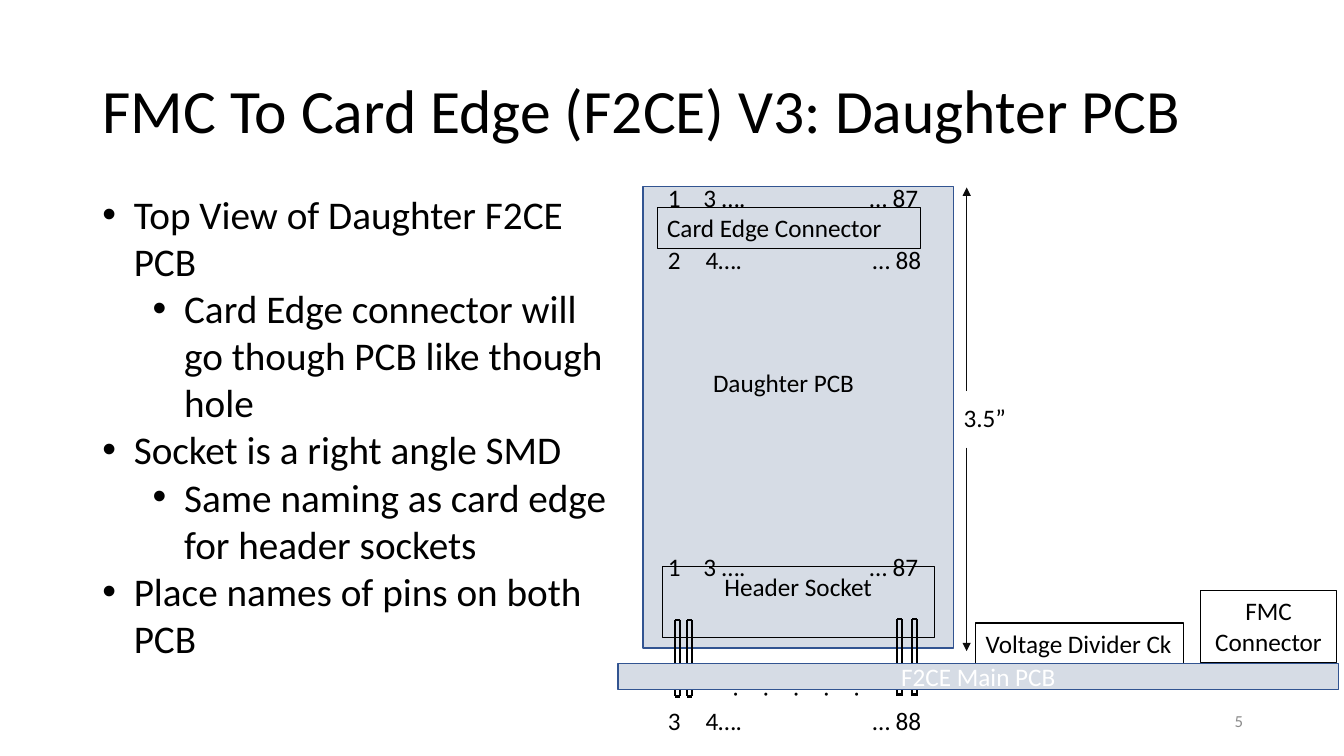
from dataclasses import dataclass, field
from typing import Any, Optional

from lxml.etree import SubElement
from pptx import Presentation
from pptx.dml.color import RGBColor
from pptx.enum.shapes import MSO_CONNECTOR, MSO_SHAPE
from pptx.enum.text import MSO_ANCHOR, MSO_AUTO_SIZE, PP_ALIGN
from pptx.oxml.ns import qn
from pptx.shapes.autoshape import Shape
from pptx.slide import Slide
from pptx.text.text import TextFrame
from pptx.util import Pt


@dataclass(frozen=True)
class Theme:
    font: str = "Calibri"
    black: RGBColor = RGBColor(0, 0, 0)
    white: RGBColor = RGBColor(255, 255, 255)
    grey: RGBColor = RGBColor(0x8C, 0x8C, 0x8C)
    arrow: RGBColor = RGBColor(0x0D, 0x0D, 0x0D)
    board: RGBColor = RGBColor(0xD6, 0xDC, 0xE5)
    board_edge: RGBColor = RGBColor(0x32, 0x54, 0x91)
    title_size: float = 44
    body_size: float = 28
    label_size: float = 18
    number_size: float = 12


THEME = Theme()
FRAME_INSET = {"margin_left": Pt(7.2), "margin_right": Pt(7.2),
               "margin_top": Pt(3.6), "margin_bottom": Pt(3.6)}
NO_INSET = {name: Pt(0) for name in FRAME_INSET}
LINE_HEIGHT = 21.97
PIN_WIDTH = 3.6
ROW_TOP = 130.3


@dataclass(frozen=True)
class Box:
    left: float
    top: float
    width: float
    height: float
    text: str = ""
    alignment: PP_ALIGN = PP_ALIGN.CENTER
    anchor: MSO_ANCHOR = MSO_ANCHOR.TOP
    fill: Optional[RGBColor] = None
    edge: RGBColor = THEME.black
    edge_width: float = 0.75
    color: RGBColor = THEME.black


@dataclass(frozen=True)
class Label:
    left: float
    top: float
    width: float
    lines: tuple[str, ...]
    height: float = LINE_HEIGHT
    frame: dict[str, Any] = field(default_factory=lambda: NO_INSET)
    size: float = THEME.label_size
    color: RGBColor = THEME.black
    alignment: PP_ALIGN = PP_ALIGN.LEFT
    rotation: float = 0


@dataclass(frozen=True)
class Pin:
    left: float
    top: float
    bottom: float
    cap: float


@dataclass(frozen=True)
class PinRow:
    line: int
    first: str
    second: str
    last: str
    second_left: float
    last_left: float


BOARD = {"fill": THEME.board, "edge": THEME.board_edge, "edge_width": 1}
DAUGHTER_BOARD = Box(459.4, 133.2, 221.8, 329.8, **BOARD)
MAIN_BOARD = Box(441.4, 473.8, 514.8, 18.7, "F2CE Main PCB",
                 anchor=MSO_ANCHOR.MIDDLE, color=THEME.white, **BOARD)
PARTS = (
    Box(857.5, 421.9, 97.2, 51.1, "FMC Connector"),
    Box(469.4, 148.3, 187.9, 29, "Card Edge Connector", PP_ALIGN.LEFT),
    Box(697, 445, 148.3, 29, "Voltage Divider Ck", PP_ALIGN.LEFT),
    Box(473, 404.6, 194.4, 51.1, "Header Socket"),
)
PINS = (
    Pin(482.4, 442.8, 497.5, 497.5),
    Pin(491, 442.8, 497.5, 497.5),
    Pin(640.8, 442.1, 497.5, 496.1),
    Pin(651.6, 442.1, 497.5, 496.1),
)
PIN_ROWS = (
    PinRow(0, "1", "3 ….", "… 87", 502.4, 655.9),
    PinRow(2, "2", "4….", "… 88", 504, 658),
    PinRow(12, "1", "3 ….", "… 87", 502.4, 655.9),
    PinRow(17, "3", "4….", "… 88", 504, 658),
)
BULLETS = (
    (0, "Top View of Daughter F2CE PCB"),
    (1, "Card Edge connector will go though PCB like though hole"),
    (0, "Socket is a right angle SMD"),
    (1, "Same naming as card edge for header sockets"),
    (0, "Place names of pins on both PCB"),
)


def apply_format(target: Any, values: dict[str, Any]) -> None:
    for name, value in values.items():
        setattr(target, name, value)


def write_lines(text_frame: TextFrame, lines: tuple[str, ...], size: float,
                color: RGBColor, alignment: PP_ALIGN) -> None:
    text_frame.text = "\n".join(lines)
    for paragraph in text_frame.paragraphs:
        paragraph.alignment = alignment
        for run in paragraph.runs:
            apply_format(run.font, {"name": THEME.font, "size": Pt(size)})
            run.font.color.rgb = color


def add_box(slide: Slide, box: Box) -> None:
    shape = slide.shapes.add_shape(MSO_SHAPE.RECTANGLE, Pt(box.left), Pt(box.top),
                                   Pt(box.width), Pt(box.height))
    shape.shadow.inherit = False
    if box.fill is None:
        shape.fill.background()
    else:
        shape.fill.solid()
        shape.fill.fore_color.rgb = box.fill
    shape.line.color.rgb = box.edge
    shape.line.width = Pt(box.edge_width)
    if box.text:
        apply_format(shape.text_frame, FRAME_INSET | {"word_wrap": True,
                                                      "vertical_anchor": box.anchor})
        write_lines(shape.text_frame, (box.text,), THEME.label_size, box.color, box.alignment)


def add_label(slide: Slide, label: Label) -> Shape:
    shape = slide.shapes.add_textbox(Pt(label.left), Pt(label.top),
                                     Pt(label.width), Pt(label.height))
    shape.rotation = label.rotation
    apply_format(shape.text_frame, label.frame | {"word_wrap": True})
    write_lines(shape.text_frame, label.lines, label.size, label.color, label.alignment)
    return shape


def add_line(slide: Slide, start: tuple[float, float], end: tuple[float, float],
             color: RGBColor = THEME.black, width: float = 1.5, arrow: bool = False) -> None:
    connector = slide.shapes.add_connector(MSO_CONNECTOR.STRAIGHT,
                                           *(Pt(value) for value in start + end))
    connector.line.color.rgb = color
    connector.line.width = Pt(width)
    properties = connector._element.spPr
    if arrow:
        SubElement(properties.find(qn("a:ln")), qn("a:tailEnd"), type="triangle")
    SubElement(properties, qn("a:effectLst"))


def add_title(slide: Slide, text: str) -> None:
    title = slide.shapes.title
    apply_format(title, {"left": Pt(66), "top": Pt(28.8), "width": Pt(828), "height": Pt(104.4)})
    apply_format(title.text_frame, FRAME_INSET | {"vertical_anchor": MSO_ANCHOR.MIDDLE,
                                                  "auto_size": MSO_AUTO_SIZE.NONE})
    write_lines(title.text_frame, (text,), THEME.title_size, THEME.black, PP_ALIGN.LEFT)
    title.text_frame.paragraphs[0].line_spacing = 0.9


def add_bullets(slide: Slide) -> None:
    body = add_label(slide, Label(66, 132.5, 384.5, tuple(text for _, text in BULLETS),
                                  346.3, FRAME_INSET, THEME.body_size))
    for paragraph, (level, _) in zip(body.text_frame.paragraphs, BULLETS):
        paragraph.level = level
        properties = paragraph._p.get_or_add_pPr()
        properties.set("marL", str(Pt(22.5 + 36 * level)))
        properties.set("indent", str(-Pt(22.5)))
        SubElement(properties, qn("a:buFont"), typeface="Arial")
        SubElement(properties, qn("a:buChar"), char="•")


def add_pin_row(slide: Slide, row: PinRow) -> None:
    top = ROW_TOP + row.line * LINE_HEIGHT
    add_label(slide, Label(477, top, 20, (row.first,)))
    add_label(slide, Label(row.second_left, top, 60, (row.second,)))
    add_label(slide, Label(row.last_left - 60, top, 60, (row.last,), alignment=PP_ALIGN.RIGHT))


def main() -> None:
    presentation = Presentation()
    apply_format(presentation, {"slide_width": Pt(960), "slide_height": Pt(540)})
    slide = presentation.slides.add_slide(presentation.slide_layouts[5])
    add_title(slide, "FMC To Card Edge (F2CE) V3: Daughter PCB")
    add_box(slide, DAUGHTER_BOARD)
    for part in PARTS:
        add_box(slide, part)
    add_bullets(slide)
    for pin in PINS:
        right = pin.left + PIN_WIDTH
        for side in (pin.left, right):
            add_line(slide, (side, pin.top), (side, pin.bottom))
        add_line(slide, (pin.left, pin.top), (right, pin.top))
    add_box(slide, MAIN_BOARD)
    for pin in PINS:
        add_line(slide, (pin.left, pin.cap), (pin.left + PIN_WIDTH, pin.cap))
    add_label(slide, Label(564.5, 438.5, 19.4, (".",) * 5, 116.6, FRAME_INSET, rotation=90))
    for row in PIN_ROWS:
        add_pin_row(slide, row)
    add_label(slide, Label(509.3, ROW_TOP + 6 * LINE_HEIGHT, 120, ("Daughter PCB",)))
    for start, end in ((319.7, 465.1), (279.4, 133.9)):
        add_line(slide, (690.5, start), (690.5, end), THEME.arrow, 0.5, True)
    add_label(slide, Label(688.3, 287.3, 45, ("3.5”",)))
    add_label(slide, Label(679, 504, 216, ("5",), 14.6, FRAME_INSET, THEME.number_size,
                           THEME.grey, PP_ALIGN.RIGHT))
    presentation.save("out.pptx")


if __name__ == "__main__":
    main()
